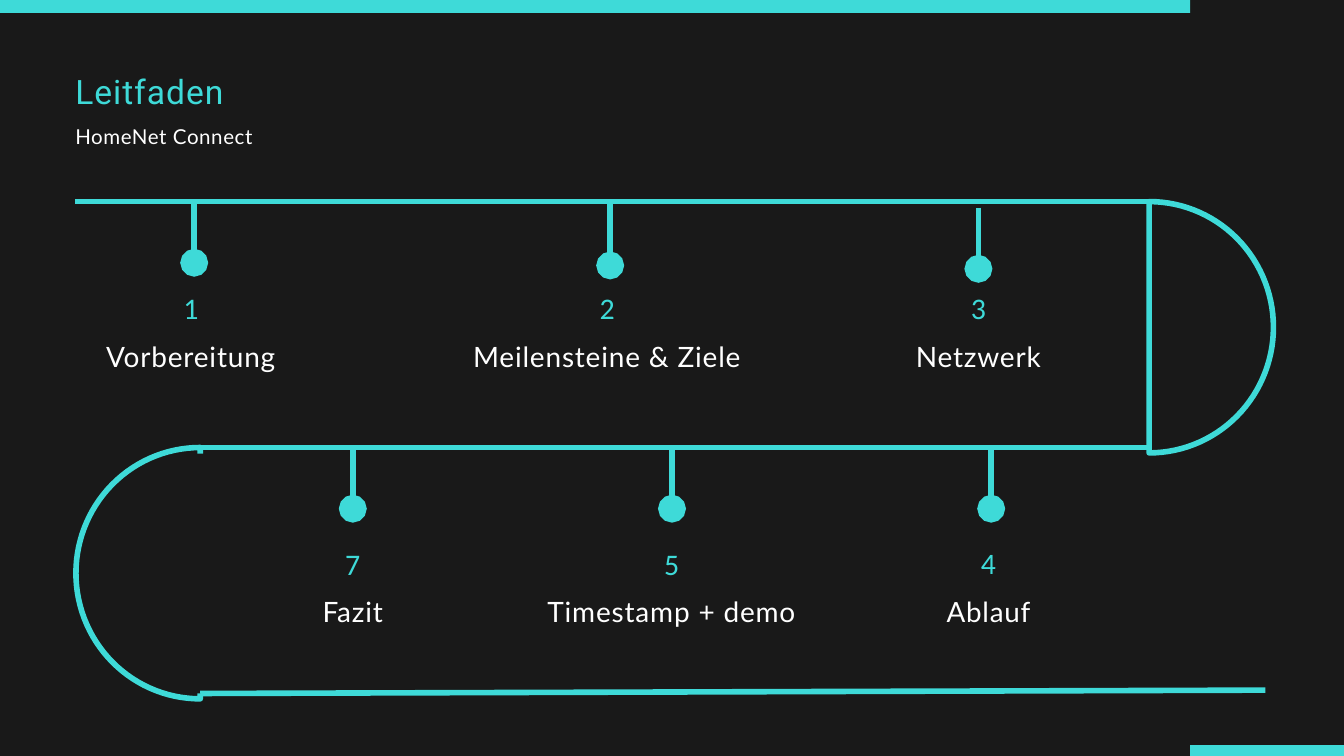
from dataclasses import dataclass
from math import cos, pi, sin

from lxml.etree import SubElement
from pptx import Presentation
from pptx.dml.color import RGBColor
from pptx.enum.shapes import MSO_CONNECTOR, MSO_SHAPE
from pptx.enum.text import MSO_AUTO_SIZE, PP_ALIGN
from pptx.oxml.ns import qn
from pptx.slide import Slide
from pptx.util import Inches, Pt

HUES = {"dark": "191919", "teal": "3EDAD8", "white": "FFFFFF"}
STROKE = Pt(6)
DROP = 0.91
EDGE = 1.12
STEPS = 60


@dataclass
class Style:
    face: str
    hue: str
    lead: float
    track: float


@dataclass
class Stop:
    num: str
    label: str
    x: float
    y: float
    left: float
    top: float
    width: float
    size: float = 32


@dataclass
class Bend:
    x: float
    y: float
    rx: float
    ry: float


DIGIT = Style("Calibri", "teal", 1.3, 0.05)
TITLE = Style("Roboto", "teal", 1.3, 0.03)
BODY = Style("Lato", "white", 1.5, 0.03)

STOPS = [
    Stop("1", "Vorbereitung", 2.89, 3, 1.12, 4.27, 3.44),
    Stop("2", "Meilensteine & Ziele", 9.08, 3.04, 6.97, 4.27, 4.13),
    Stop("3", "Netzwerk", 14.56, 3.09, 12.84, 4.27, 3.44),
    Stop("7", "Fazit", 5.25, 6.66, 3.53, 8.07, 3.44),
    Stop("5", "Timestamp + demo", 10, 6.66, 7.99, 8.07, 4.01),
    Stop("4", "Ablauf", 14.75, 6.66, 13, 8.07, 3.42, 31.8),
]


def tint(name: str) -> RGBColor:
    return RGBColor.from_string(HUES[name])


def add_bar(slide: Slide, left: float, top: float, width: float,
            height: float, hue: str) -> None:
    bar = slide.shapes.add_shape(
        MSO_SHAPE.RECTANGLE, Inches(left), Inches(top), Inches(width), Inches(height))
    bar.shadow.inherit = False
    bar.fill.solid()
    bar.fill.fore_color.rgb = tint(hue)
    bar.line.fill.background()


def add_bend(slide: Slide, bend: Bend) -> None:
    turns = [pi * (i / STEPS - 0.5) for i in range(STEPS + 1)]
    dots = [(Inches(bend.x + bend.rx * cos(t)), Inches(bend.y + bend.ry * sin(t)))
            for t in turns]
    pen = slide.shapes.build_freeform(*dots[0])
    pen.add_line_segments(dots[1:], close=True)
    curve = pen.convert_to_shape()
    curve.shadow.inherit = False
    curve.fill.background()
    curve.line.color.rgb = tint("teal")
    curve.line.width = STROKE


def add_line(slide: Slide, x1: float, y1: float, x2: float, y2: float,
             dot: bool = False) -> None:
    line = slide.shapes.add_connector(
        MSO_CONNECTOR.STRAIGHT, Inches(x1), Inches(y1), Inches(x2), Inches(y2))
    line.line.color.rgb = tint("teal")
    line.line.width = STROKE
    if dot:
        SubElement(line.line._get_or_add_ln(), qn("a:tailEnd"),
                   type="oval", w="lg", len="lg")
    SubElement(line._element.spPr, qn("a:effectLst"))


def add_text(slide: Slide, text: str, left: float, top: float, width: float,
             height: float, size: float, style: Style,
             align: PP_ALIGN = PP_ALIGN.LEFT) -> None:
    box = slide.shapes.add_textbox(
        Inches(left), Inches(top), Inches(width), Inches(height))
    frame = box.text_frame
    frame.word_wrap = True
    frame.auto_size = MSO_AUTO_SIZE.SHAPE_TO_FIT_TEXT
    frame.margin_left = frame.margin_right = 0
    frame.margin_top = frame.margin_bottom = 0
    para = frame.paragraphs[0]
    para.text = text
    para.alignment = align
    para.line_spacing = Pt(round(size * style.lead, 1))
    font = para.font
    font.name = style.face
    font.size = Pt(size)
    font.color.rgb = tint(style.hue)
    font._rPr.set("spc", str(round(size * style.track * 100)))


def add_stop(slide: Slide, stop: Stop) -> None:
    mid = PP_ALIGN.CENTER
    add_line(slide, stop.x, stop.y, stop.x, stop.y + DROP, dot=True)
    add_text(slide, stop.num, stop.left, stop.top, stop.width, 0.55,
             stop.size, DIGIT, mid)
    add_text(slide, stop.label, stop.left, stop.top + 0.65, stop.width, 0.58,
             stop.size - 2, BODY, mid)


def main() -> None:
    deck = Presentation()
    deck.slide_width = Inches(20)
    deck.slide_height = Inches(11.25)
    slide = deck.slides.add_slide(deck.slide_layouts[6])
    slide.background.fill.solid()
    slide.background.fill.fore_color.rgb = tint("dark")

    add_bend(slide, Bend(17.1, 4.87, 1.85, 1.87))
    add_line(slide, EDGE, 3, 17.11, 3)
    add_bend(slide, Bend(2.98, 8.53, -1.85, 1.87))
    add_bar(slide, 2.89, 6.75, 1.25, 3.57, "dark")
    add_line(slide, 2.98, 10.32, 18.83, 10.27)
    add_line(slide, 2.98, 6.66, 17.11, 6.66)
    add_bar(slide, 0, 0, 17.71, 0.19, "teal")
    add_bar(slide, 17.71, 11.09, 2.29, 0.16, "teal")

    for stop in STOPS:
        add_stop(slide, stop)

    add_text(slide, "Leitfaden", EDGE, 1, 13.39, 0.63, 36, TITLE)
    add_text(slide, "HomeNet Connect", EDGE, 1.76, 13.39, 0.4, 22, BODY)
    deck.save("out.pptx")


if __name__ == "__main__":
    main()
